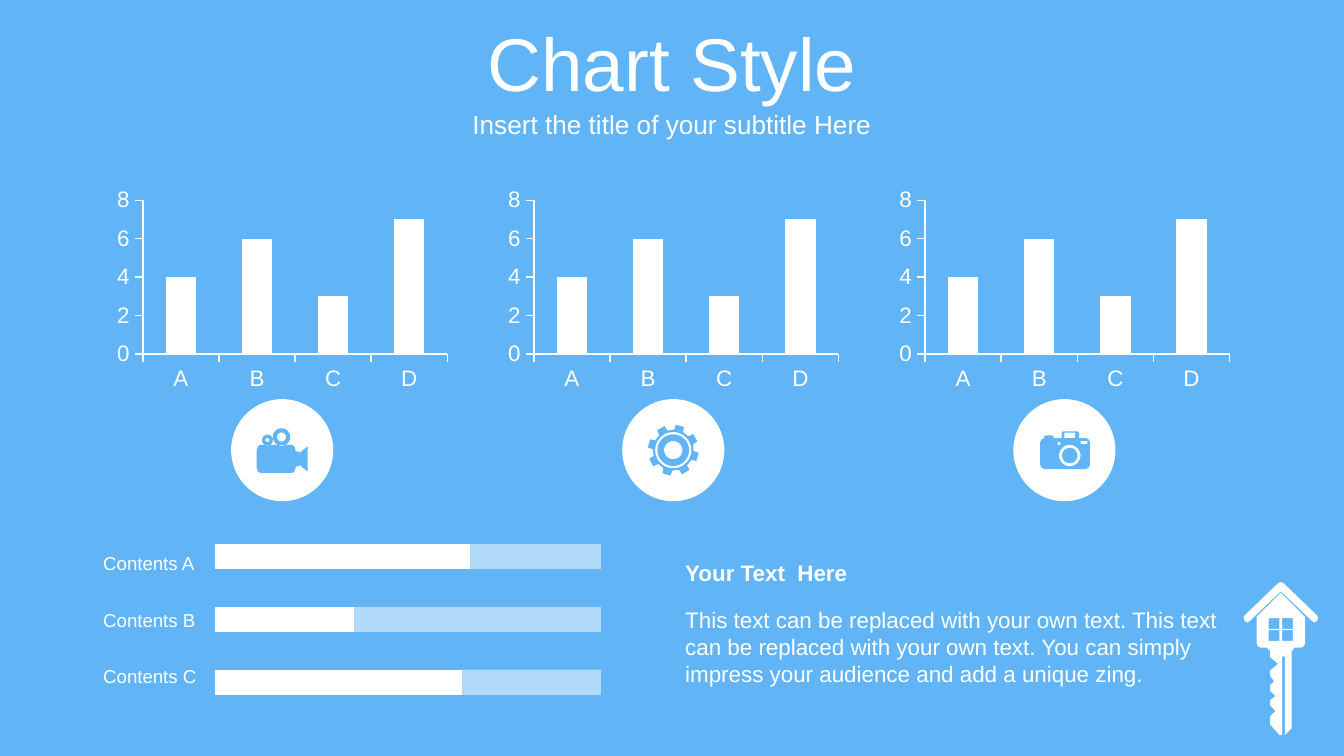
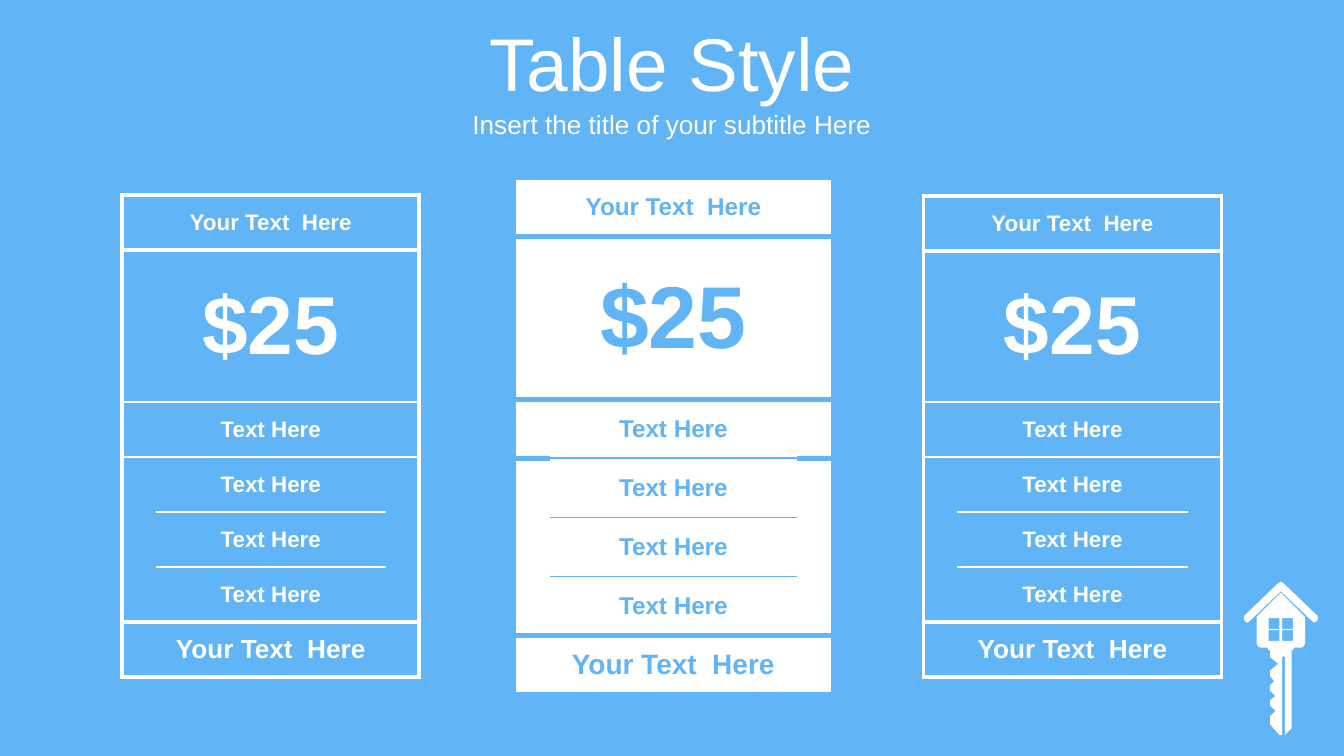
from math import cos, radians, sin

from lxml import etree
from pptx import Presentation
from pptx.chart.data import CategoryChartData
from pptx.dml.color import RGBColor
from pptx.enum.chart import XL_CHART_TYPE, XL_TICK_MARK
from pptx.enum.shapes import MSO_SHAPE
from pptx.enum.text import MSO_ANCHOR, PP_ALIGN
from pptx.oxml.ns import qn
from pptx.util import Inches, Pt

COLS = XL_CHART_TYPE.COLUMN_STACKED
BARS = XL_CHART_TYPE.BAR_STACKED_100
TICK = XL_TICK_MARK.OUTSIDE
OVAL = MSO_SHAPE.OVAL
MID, TOP = MSO_ANCHOR.MIDDLE, MSO_ANCHOR.TOP
LEFT, CENTER = PP_ALIGN.LEFT, PP_ALIGN.CENTER

COLORS = {"sky": "61B4F6", "white": "FFFFFF"}
FONT = "Arial"
PLAIN = "{2D5ABB26-0587-4C30-8999-92F81FD0307C}"  # table style without grid


def rgb(name):
    return RGBColor.from_string(COLORS[name])


# Outlines, in hundredths of an inch
def box(x, y, w, h):
    return [(x, y), (x + w, y), (x + w, y + h), (x, y + h)]


def ring(x, y, r):
    return [(x + r * cos(radians(a)), y + r * sin(radians(a)))
            for a in range(0, 360, 10)]


def cog(x, y, tip, base, teeth):
    pts = []
    for n in range(teeth):
        mid = n * 360 / teeth - 74.5
        for r, turn in ((base, -13), (tip, -9.5), (tip, 9.5), (base, 13)):
            a = radians(mid + turn)
            pts.append((x + r * cos(a), y + r * sin(a)))
    return pts


ROOF = [(953, 433), (955, 434), (980, 458), (980.7, 460), (980, 462),
        (978, 463.3), (976, 462), (953, 440), (930, 462), (928, 463.3),
        (926, 462), (925.3, 460), (926, 458), (951, 434)]
WALLS = [(953, 441), (971, 459), (971, 479), (970, 481), (968, 482),
         (963, 482), (962, 484), (944, 484), (943, 482), (938, 482),
         (936, 481), (935, 479), (935, 459)]
BLADE = [(945, 484), (961, 484), (961, 542), (956, 547), (956, 489),
         (955, 488), (954, 489), (954, 547), (952, 547), (945, 539),
         (945, 533), (949, 529), (945, 525), (945, 521), (949, 518),
         (945, 514), (945, 510), (948, 507), (945, 503), (945, 499),
         (951, 494), (945, 489)]
PANES = [box(x, y, 8, 8) for x in (944, 954) for y in (460, 469)]
KEY = [ROOF, WALLS, BLADE, *PANES]

MOVIE = [[(194, 331), (217, 331), (219, 332), (220, 335), (220, 336),
          (222, 336), (223, 337), (229, 332), (229, 351), (223, 346),
          (222, 347), (220, 347), (220, 348), (219, 351), (217, 352),
          (194, 352), (192, 351), (191, 348), (191, 335), (192, 332)],
         ring(199, 327.5, 4), ring(199, 327.5, 1.5),
         ring(209.5, 325.2, 6.5), ring(209.5, 325.2, 3.4)]
GEAR = [cog(501, 335, 19, 15.2, 8), ring(501, 335, 13.5),
        ring(501, 335, 11.8), ring(501, 335, 6.8)]
CAMERA = [[(791, 321), (802, 321), (803, 322), (803, 326), (808, 326),
           (810, 327), (811, 329), (811, 346), (810, 348), (808, 349),
           (777, 349), (775, 348), (774, 346), (774, 329), (775, 327),
           (777, 326), (777, 325), (778, 324), (783, 324), (784, 325),
           (784, 326), (790, 326), (790, 322)],
          box(792, 322, 8, 4), box(787, 329, 2, 2), box(804, 328, 5, 2.5),
          ring(796, 339, 8), ring(796, 339, 5.7)]


class Deck:
    def __init__(self):
        self.prs = Presentation()
        self.prs.slide_width = Inches(10)
        self.prs.slide_height = Inches(10) * 9 // 16
        self.paint(self.prs.slide_master.background, "sky")

    def paint(self, item, name):
        item.fill.solid()
        item.fill.fore_color.rgb = rgb(name)

    def page(self, title):
        slide = self.prs.slides.add_slide(self.prs.slide_layouts[6])
        self.shapes = slide.shapes
        self.icon(KEY, "white")
        self.text(title, (0, 0.14, 10, 0.63), CENTER, MID, size=40)
        self.text("Insert the title of your subtitle Here",
                  (0, 0.77, 10, 0.31), CENTER, MID, size=14)

    def label(self, frame, words, align, color="white", size=12, bold=False):
        para = frame.paragraphs[0]
        para.alignment = align
        run = para.add_run()
        run.text = words
        look = {"name": FONT, "size": Pt(size), "bold": bold}
        for key, val in look.items():
            setattr(run.font, key, val)
        run.font.color.rgb = rgb(color)

    def text(self, words, at, align=LEFT, anchor=TOP, **look):
        frame = self.shapes.add_textbox(*map(Inches, at)).text_frame
        frame.word_wrap = True
        frame.vertical_anchor = anchor
        self.label(frame, words, align, **look)

    def finish(self, shape, color):
        shape.shadow.inherit = False
        self.paint(shape, color)
        shape.line.fill.background()

    def disc(self, x, y, size):
        at = map(Inches, (x, y, size, size))
        self.finish(self.shapes.add_shape(OVAL, *at), "white")

    def icon(self, loops, color):
        pen = None
        for loop in loops:
            first, *rest = [(x * 10, y * 10) for x, y in loop]
            if pen is None:
                pen = self.shapes.build_freeform(*first, scale=Inches(1) / 1000)
            else:
                pen.move_to(*first)
            pen.add_line_segments(rest, close=True)
        self.finish(pen.convert_to_shape(), color)

    def chart(self, kind, at, cats, rows, colors):
        data = CategoryChartData()
        data.categories = cats
        for n, vals in enumerate(rows, 1):
            data.add_series(f"Series {n}", vals)
        chart = self.shapes.add_chart(kind, *map(Inches, at), data).chart
        chart.has_legend = chart.has_title = False
        chart.font.name, chart.font.size = FONT, Pt(12)
        chart.font.color.rgb = rgb("white")
        plot = chart.plots[0]
        look = {"gap_width": 150, "overlap": 100, "vary_by_categories": False}
        for key, val in look.items():
            setattr(plot, key, val)
        for row, color in zip(plot.series, colors):
            self.paint(row.format, color)
            row.invert_if_negative = False
        for axis in (chart.category_axis, chart.value_axis):
            look = {"has_major_gridlines": False, "major_tick_mark": TICK,
                    "visible": kind == COLS}
            for key, val in look.items():
                setattr(axis, key, val)
            axis.format.line.color.rgb = rgb("white")
            axis.format.line.width = Pt(0.75)
        return chart

    def edge(self, cell, sides, color):
        props = cell._tc.get_or_add_tcPr()
        for n, (side, width) in enumerate(sides.items()):
            line = etree.Element(qn("a:ln" + side), w=str(Pt(width)))
            fill = etree.SubElement(line, qn("a:solidFill"))
            etree.SubElement(fill, qn("a:srgbClr"), val=COLORS[color])
            props.insert(n, line)

    def plan(self, at, cols, rows, sizes, ink, fill, thick, mid):
        """Price table: heading, price, four features, footer."""
        frame = self.shapes.add_table(7, 3, *map(Inches, at))
        table = frame.table
        table.first_row = table.horz_banding = False
        table._tbl.tblPr.find(qn("a:tableStyleId")).text = PLAIN
        for col, width in zip(table.columns, cols):
            col.width = Inches(width)
        for row, height in zip(table.rows, rows):
            row.height = Inches(height)
        words = ["Your Text  Here", "$25", *["Text Here"] * 4, "Your Text  Here"]
        rules = [thick, thick, mid, 1, 1, 1, thick, thick]
        for r in range(7):
            whole = r in (0, 1, 6)
            if whole:
                table.cell(r, 0).merge(table.cell(r, 2))
            for c in range(3):
                cell = table.cell(r, c)
                cell.vertical_anchor = MID
                if fill:
                    self.paint(cell, fill)
                else:
                    cell.fill.background()
                sides = {}
                if whole or c == 0:
                    sides["L"] = thick
                if whole or c == 2:
                    sides["R"] = thick
                for side, width in (("T", rules[r]), ("B", rules[r + 1])):
                    if width > 1 or c == 1:
                        sides[side] = width
                self.edge(cell, sides, ink)
            body = table.cell(r, 0 if whole else 1).text_frame
            self.label(body, words[r], CENTER, ink, sizes[r], True)


def main():
    deck = Deck()

    # Charts with a badge below each
    deck.page("Chart Style")
    for n, art in enumerate((MOVIE, GEAR, CAMERA)):
        left = 0.82 + 2.91 * n
        deck.chart(COLS, (left, 1.37, 2.56, 1.57), "ABCD", [(4, 6, 3, 7)],
                   ["white"]).value_axis.major_unit = 2
        deck.disc(left + 0.9, 2.97, 0.76)
        deck.icon(art, "sky")

    # Progress bars
    for n, name in enumerate("ABC"):
        deck.text(f"Contents {name}", (0.67, 4.06 + 0.42 * n, 0.93, 0.27), size=10)
    bars = deck.chart(BARS, (1.54, 3.88, 2.99, 1.46), "123",
                      [(64, 36, 66), (36, 64, 34), (0, 0, 0)],
                      ["white", "white", "sky"])
    rest = bars.plots[0].series[1].format.fill
    tint = rest._xPr.find(".//" + qn("a:srgbClr"))
    etree.SubElement(tint, qn("a:alpha"), val="50000")

    # Message
    deck.text("Your Text  Here", (5, 4.11, 4.21, 0.3), bold=True)
    deck.text("This text can be replaced with your own text. This text can be "
              "replaced with your own text. You can simply impress your "
              "audience and add a unique zing.", (5, 4.46, 4.21, 0.71))

    # Price tables
    deck.page("Table Style")
    side = {"sizes": [12, 44, 12, 12, 12, 12, 14], "ink": "white",
            "fill": None, "thick": 2.25, "mid": 1.5}
    deck.plan((0.91, 1.45, 2.2, 3.59), (0.25, 1.71, 0.25),
              [0.41, 1.13] + [0.41] * 5, **side)
    deck.plan((6.87, 1.46, 2.23, 3.58), (0.25, 1.72, 0.25),
              [0.41, 1.12] + [0.41] * 5, **side)
    deck.plan((3.82, 1.32, 2.37, 3.86), (0.27, 1.84, 0.27),
              [0.44, 1.21] + [0.44] * 5, [13, 47, 13, 13, 13, 13, 15],
              "sky", "white", 3, 3)

    deck.prs.save("out.pptx")


if __name__ == "__main__":
    main()
